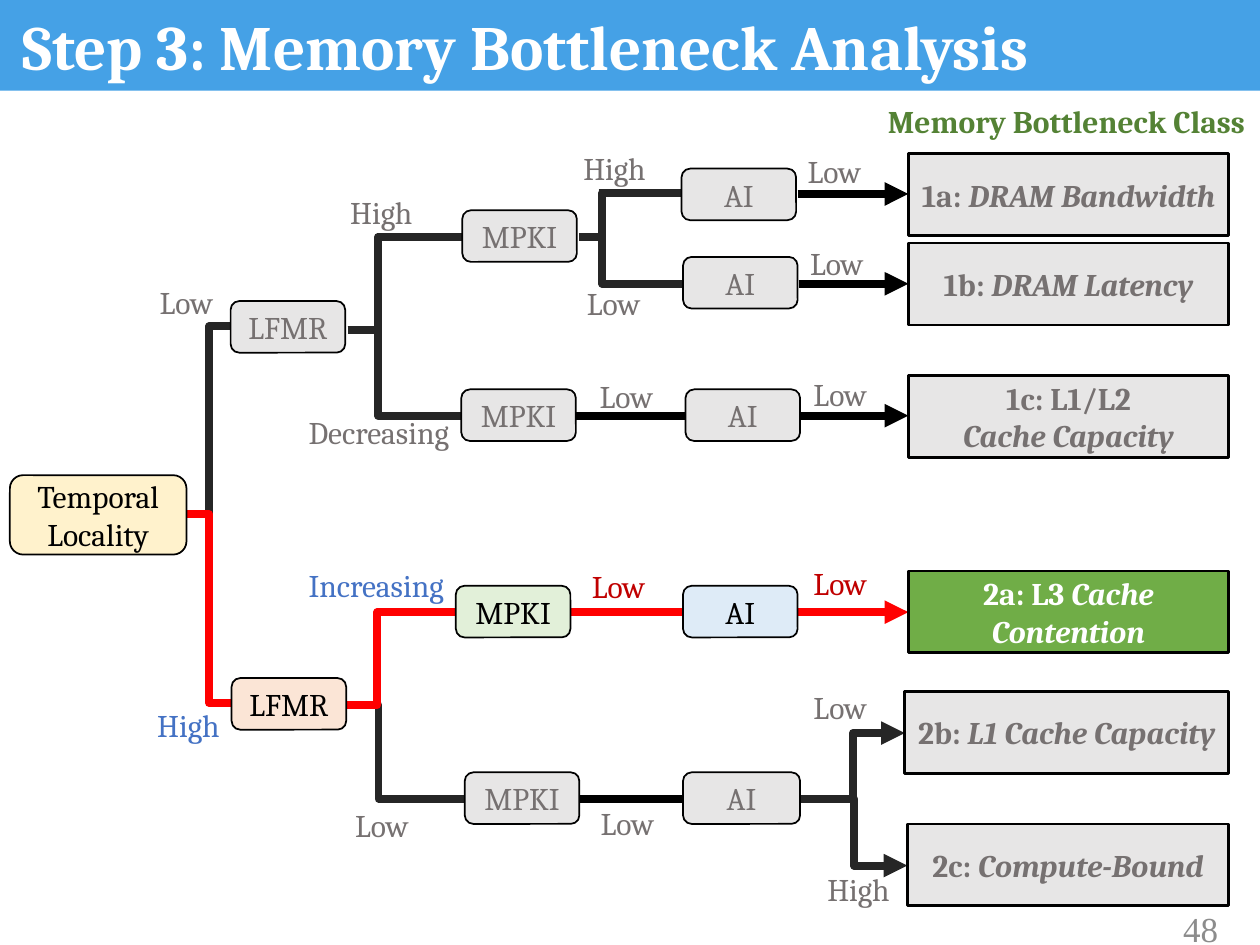
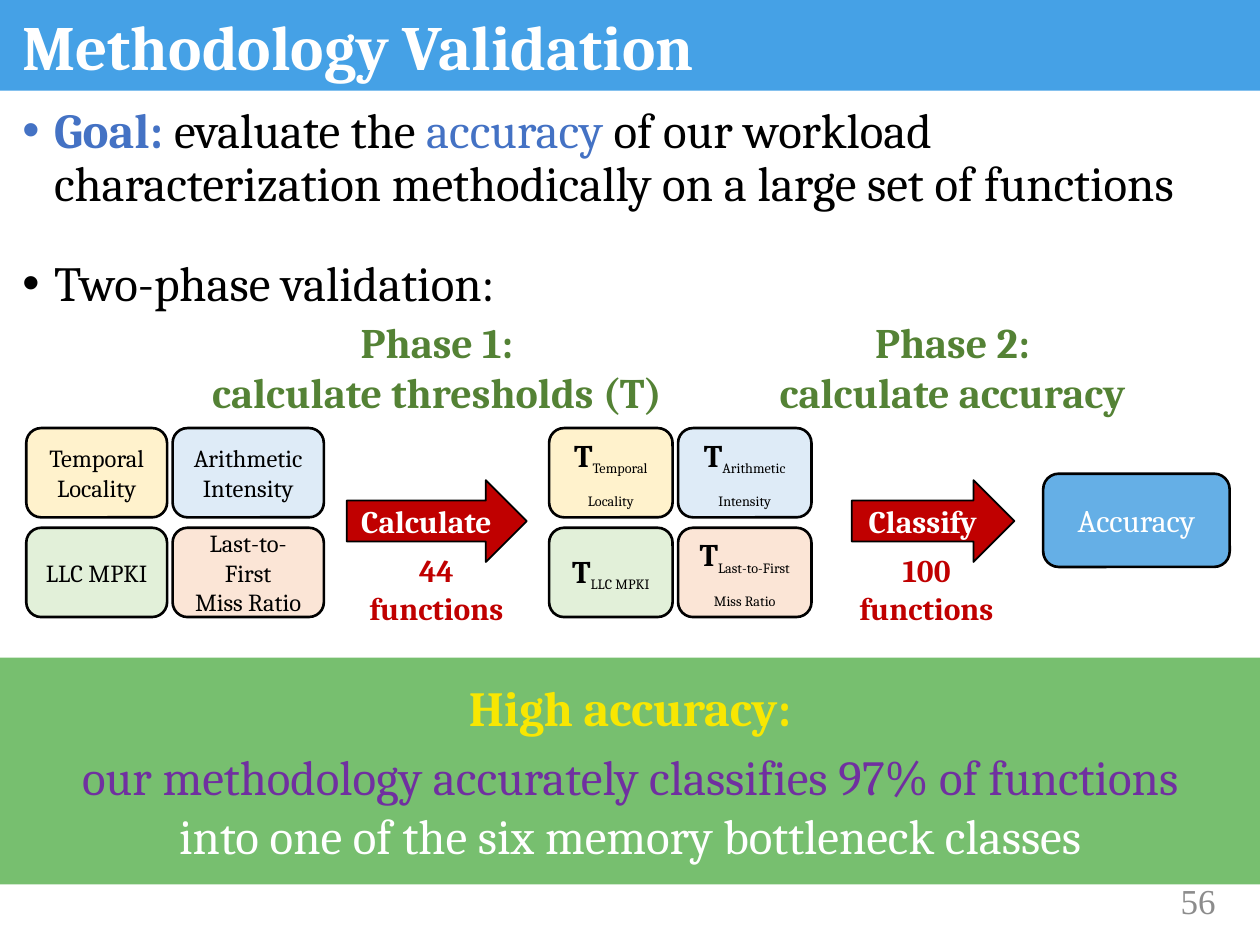
from dataclasses import dataclass
from typing import NamedTuple

from lxml.etree import SubElement
from pptx import Presentation
from pptx.dml.color import RGBColor
from pptx.enum.shapes import MSO_CONNECTOR as Connector, MSO_SHAPE as Preset
from pptx.enum.text import MSO_ANCHOR as Anchor, MSO_AUTO_SIZE as AutoSize, PP_ALIGN as Align
from pptx.oxml.ns import qn
from pptx.util import Cm, Pt

WHITE, BLACK, GRAY, CHARCOAL = "FFFFFF", "000000", "767171", "262626"
TITLE_BLUE, BLUE, GREEN = "45A1E6", "4472C4", "548235"
RED, DARK_RED, PALE_GRAY = "FF0000", "C00000", "E7E6E6"
CREAM, PALE_BLUE, PALE_GREEN, PEACH = "FFF2CC", "DEEBF7", "E2F0D9", "FBE5D6"
FONT = "Cambria"
CLASS_RIGHT = 24.77
LABEL_WIDTHS = {"Low": 1.7, "High": 1.8, "Decreasing": 3.68, "Increasing": 3.38}


class Area(NamedTuple):
    left: float
    top: float
    width: float
    height: float


@dataclass
class Span:
    text: str
    color: str = BLACK
    size: float = 18
    bold: bool = False
    italic: bool = False
    subscript: bool = False
    font: str = FONT


Lines = list[list[Span]]


@dataclass
class Node:
    text: str
    left: float
    top: float
    fill: str = PALE_GRAY
    width: float = 2.31
    height: float = 1.04


@dataclass
class BottleneckClass:
    lines: list[tuple[str, str]]
    top: float
    left: float = 18.31
    fill: str = PALE_GRAY
    color: str = GRAY


class Label(NamedTuple):
    text: str
    left: float
    top: float
    color: str = GRAY


@dataclass
class Branch:
    start: tuple[float, float]
    end: tuple[float, float]
    color: str = CHARCOAL
    bend: float = 0.5
    arrow: bool = False


NODES = [
    Node("Temporal Locality", 0.2, 9.58, CREAM, 3.56, 1.6),
    Node("LFMR", 4.65, 6.07), Node("LFMR", 4.67, 13.67, PEACH),
    Node("MPKI", 9.32, 4.24), Node("MPKI", 9.3, 7.85),
    Node("MPKI", 9.19, 11.81, PALE_GREEN), Node("MPKI", 9.37, 15.57),
    Node("AI", 13.74, 3.4), Node("AI", 13.77, 5.18), Node("AI", 13.82, 7.85),
    Node("AI", 13.77, 11.81, PALE_BLUE), Node("AI", 13.77, 15.57, width=2.36),
]

CLASSES = [
    BottleneckClass([("1a: ", "DRAM Bandwidth")], 3.1),
    BottleneckClass([("1b: ", "DRAM Latency")], 4.9),
    BottleneckClass([("1c: L1/L2", ""), ("", "Cache Capacity")], 7.57),
    BottleneckClass([("2a: L3 ", "Cache Contention")], 11.51, fill="70AD47", color=WHITE),
    BottleneckClass([("2b: ", "L1 Cache Capacity")], 13.94, 18.24),
    BottleneckClass([("2c: ", "Compute-Bound")], 16.61, 18.29),
]

BRANCHES = [
    Branch((3.76, 10.36), (4.67, 6.58)),
    Branch((3.76, 10.36), (4.67, 14.17), RED),
    Branch((7.01, 6.65), (8.23, 4.78)),
    Branch((7.01, 6.65), (9.3, 8.38), bend=0.27),
    Branch((7.59, 4.78), (9.32, 4.78)),
    Branch((11.68, 4.78), (12.6, 3.89)),
    Branch((11.68, 4.78), (13.77, 5.72), bend=0.22),
    Branch((12.07, 3.89), (13.79, 3.89)),
    Branch((6.99, 14.22), (9.37, 16.1), bend=0.27),
    Branch((6.99, 14.22), (9.19, 12.34), RED, 0.28),
    Branch((16.15, 16.1), (18.24, 14.78), arrow=True),
    Branch((16.15, 16.1), (18.29, 17.45), arrow=True),
    Branch((11.61, 8.38), (13.82, 8.38), BLACK),
    Branch((11.51, 12.34), (13.77, 12.34), RED),
    Branch((11.68, 16.1), (13.77, 16.1), BLACK),
    Branch((16.08, 3.91), (18.31, 3.91), BLACK, arrow=True),
    Branch((16.1, 5.72), (18.31, 5.72), BLACK, arrow=True),
    Branch((16.13, 8.38), (18.31, 8.38), BLACK, arrow=True),
    Branch((16.08, 12.34), (18.31, 12.34), RED, arrow=True),
]

LABELS = [
    Label("Low", 2.97, 5.59), Label("High", 2.92, 14.1, BLUE),
    Label("High", 6.81, 3.76), Label("Decreasing", 5.97, 8.2),
    Label("Increasing", 5.97, 11.28, BLUE), Label("Low", 6.91, 16.13),
    Label("High", 11.51, 2.87), Label("Low", 11.58, 5.61),
    Label("Low", 11.84, 7.47), Label("Low", 11.68, 11.3, DARK_RED),
    Label("Low", 11.86, 16.08), Label("Low", 16.03, 2.95),
    Label("Low", 16.08, 4.8), Label("Low", 16.15, 7.44),
    Label("Low", 16.15, 11.25, DARK_RED), Label("Low", 16.15, 13.74),
    Label("High", 16.43, 17.42),
]

METRICS = [
    (["Temporal Locality"], CREAM), (["Arithmetic Intensity"], PALE_BLUE),
    (["LLC MPKI"], PALE_GREEN), (["Last-to-First", "Miss Ratio"], PEACH),
]


def rgb(color: str) -> RGBColor:
    return RGBColor.from_string(color)


def cm(*values: float) -> list[Cm]:
    return [Cm(value) for value in values]


def format_run(run, span: Span) -> None:
    font = run.font
    font.name, font.size = span.font, Pt(span.size)
    font.bold, font.italic = span.bold, span.italic
    font.color.rgb = rgb(span.color)
    if span.subscript:
        run._r.get_or_add_rPr().set("baseline", "-25000")


def write(frame, lines: Lines, align=Align.CENTER) -> None:
    """Fill a text frame with one paragraph for each list of spans."""
    for index, spans in enumerate(lines):
        paragraph = frame.add_paragraph() if index else frame.paragraphs[0]
        paragraph.alignment = align
        paragraph.text = spans[0].text
        for span in spans[1:]:
            paragraph.add_run().text = span.text
        for run, span in zip(paragraph.runs, spans):
            format_run(run, span)


def add_box(slide, preset, area: Area, fill: str, lines: Lines, line_width: float = 0):
    shape = slide.shapes.add_shape(preset, *cm(*area))
    shape.shadow.inherit = False
    shape.fill.solid()
    shape.fill.fore_color.rgb = rgb(fill)
    if line_width:
        shape.line.color.rgb = rgb(BLACK)
        shape.line.width = Pt(line_width)
    else:
        shape.line.fill.background()
    shape.text_frame.vertical_anchor = Anchor.MIDDLE
    write(shape.text_frame, lines)
    return shape


def add_text(slide, area: Area, lines: Lines, align=Align.CENTER, wrap: bool = True, grow: bool = False):
    frame = slide.shapes.add_textbox(*cm(*area)).text_frame
    frame.word_wrap = wrap
    frame.auto_size = AutoSize.SHAPE_TO_FIT_TEXT if grow else AutoSize.NONE
    write(frame, lines, align)
    return frame


def add_branch(slide, branch: Branch) -> None:
    straight = branch.start[1] == branch.end[1]
    kind = Connector.STRAIGHT if straight else Connector.ELBOW
    connector = slide.shapes.add_connector(kind, *cm(*branch.start, *branch.end))
    connector.line.color.rgb = rgb(branch.color)
    connector.line.width = Pt(4.5)
    properties = connector._element.spPr
    if not straight:
        geometry = properties.find(qn("a:prstGeom"))
        adjustments = geometry.find(qn("a:avLst"))
        if adjustments is None:
            adjustments = SubElement(geometry, qn("a:avLst"))
        SubElement(adjustments, qn("a:gd"), name="adj1", fmla=f"val {round(branch.bend * 100000)}")
    if branch.arrow:
        SubElement(properties.find(qn("a:ln")), qn("a:tailEnd"), type="triangle")
    SubElement(properties, qn("a:effectLst"))


def add_titled_slide(presentation, title: str, number: str, number_left: float, number_top: float):
    slide = presentation.slides.add_slide(presentation.slide_layouts[6])
    add_box(slide, Preset.RECTANGLE, Area(0, 0, 25.4, 1.83), TITLE_BLUE, [])
    frame = add_text(slide, Area(0.2, 0.2, 24.97, 2.06), [[Span(title, WHITE, 36, True)]], Align.LEFT)
    frame.paragraphs[0].line_spacing = 0.9
    page = [[Span(number, "8C8C8C", 20, font="Times New Roman")]]
    frame = add_text(slide, Area(number_left, number_top, 2.74, 1.02), page, Align.RIGHT)
    frame.vertical_anchor = Anchor.MIDDLE
    return slide


def build_analysis(presentation) -> None:
    slide = add_titled_slide(presentation, "Step 3: Memory Bottleneck Analysis", "48", 22.07, 18.21)
    for branch in BRANCHES:
        add_branch(slide, branch)
    for node in NODES:
        color = GRAY if node.fill == PALE_GRAY else BLACK
        area = Area(node.left, node.top, node.width, node.height)
        add_box(slide, Preset.ROUNDED_RECTANGLE, area, node.fill, [[Span(node.text, color)]], 1)
    for item in CLASSES:
        lines = [
            [Span(text, item.color, bold=True, italic=italic)
             for text, italic in ((code, False), (name, True)) if text]
            for code, name in item.lines
        ]
        area = Area(item.left, item.top, CLASS_RIGHT - item.left, 1.65)
        add_box(slide, Preset.RECTANGLE, area, item.fill, lines, 1.5)
    for label in LABELS:
        area = Area(label.left, label.top, LABEL_WIDTHS[label.text], 1.02)
        add_text(slide, area, [[Span(label.text, label.color)]], Align.LEFT, wrap=False, grow=True)
    heading = [[Span("Memory Bottleneck Class", GREEN, bold=True)]]
    add_text(slide, Area(17.6, 1.93, 7.8, 1.02), heading, wrap=False, grow=True)


def add_goals(slide) -> None:
    lines = [
        [Span("Goal: ", BLUE, 28, True), Span("evaluate the ", size=28), Span("accuracy ", BLUE, 28),
         Span("of our workload characterization methodically on a large set of functions", size=28)],
        [Span("Two-phase validation:", size=28)],
    ]
    frame = add_text(slide, Area(0.2, 2.01, 24.97, 15.04), lines, Align.LEFT)
    for paragraph in frame.paragraphs:
        paragraph.line_spacing = 0.9
        properties = paragraph._p.get_or_add_pPr()
        properties.set("marL", str(Cm(0.64)))
        properties.set("indent", str(-Cm(0.64)))
        SubElement(properties, qn("a:buFont"), typeface="Arial")
        SubElement(properties, qn("a:buChar"), char="•")
    frame.paragraphs[1].space_before = Pt(27)


def add_metric_grid(slide, lefts: tuple[float, float], widths: tuple[float, float], threshold: bool) -> None:
    for index, (names, fill) in enumerate(METRICS):
        row, column = divmod(index, 2)
        lines = [[Span(name, size=14, subscript=threshold)] for name in names]
        if threshold:
            lines[0].insert(0, Span("T", bold=True))
        area = Area(lefts[column], 8.63 + 2.01 * row, widths[column], 1.8)
        add_box(slide, Preset.ROUNDED_RECTANGLE, area, fill, lines, 1.5)


def add_phase(slide, heading: list[str], heading_left: float, action: str, arrow_left: float,
              arrow_width: float, count: str, count_left: float) -> None:
    add_text(slide, Area(heading_left, 6.25, 11.94, 2.31),
             [[Span(line, GREEN, 24, True)] for line in heading], grow=True)
    add_box(slide, Preset.RIGHT_ARROW, Area(arrow_left, 9.68, arrow_width, 1.65), DARK_RED,
            [[Span(action, WHITE, bold=True)]], 1)
    add_text(slide, Area(count_left, 10.99, 3.28, 1.8),
             [[Span(line, DARK_RED, bold=True)] for line in (count, "functions")], wrap=False, grow=True)


def build_validation(presentation) -> None:
    slide = add_titled_slide(presentation, "Methodology Validation", "56", 22.02, 17.65)
    add_goals(slide)
    add_metric_grid(slide, (0.53, 3.48), (2.84, 3.05), threshold=False)
    add_metric_grid(slide, (11.07, 13.67), (2.49, 2.69), threshold=True)
    add_phase(slide, ["Phase 1:", "calculate thresholds (T)"], 2.84, "Calculate", 6.99, 3.63, "44", 7.16)
    add_phase(slide, ["Phase 2:", "calculate accuracy"], 13.23, "Classify", 17.17, 3.28, "100", 17.04)
    add_box(slide, Preset.ROUNDED_RECTANGLE, Area(21.03, 9.55, 3.76, 1.88), "65AFE6",
            [[Span("Accuracy", WHITE)]], 1.5)
    conclusion = [
        [Span("High accuracy:", "F8E702", 28, True)],
        [Span("our methodology accurately classifies 97% of functions", "7030A0", 28)],
        [Span("into one of the six memory bottleneck classes", WHITE, 28)],
    ]
    band = add_box(slide, Preset.RECTANGLE, Area(0, 13.26, 25.4, 4.57), "77BF6F", conclusion)
    band.text_frame.paragraphs[1].space_before = Pt(6)


def main() -> None:
    presentation = Presentation()
    presentation.slide_width, presentation.slide_height = cm(25.4, 19.05)
    build_analysis(presentation)
    build_validation(presentation)
    presentation.save("out.pptx")


if __name__ == "__main__":
    main()
